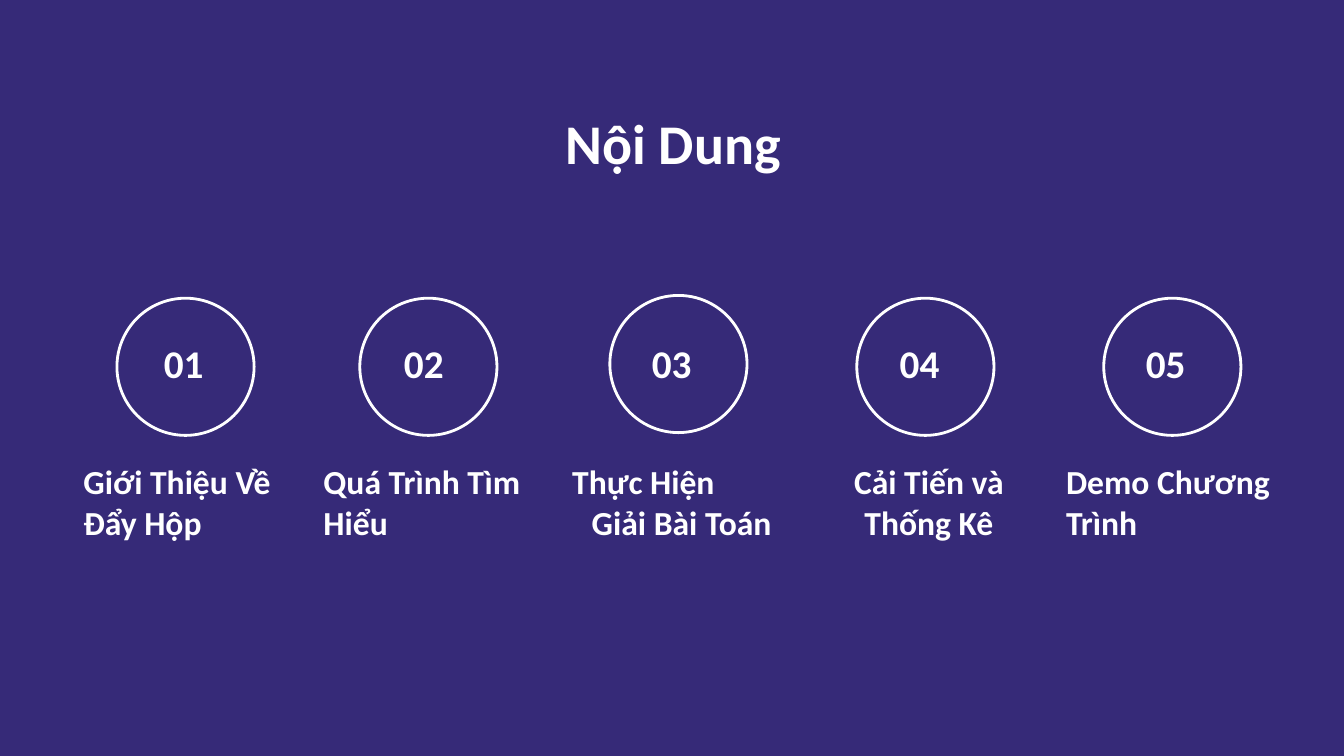
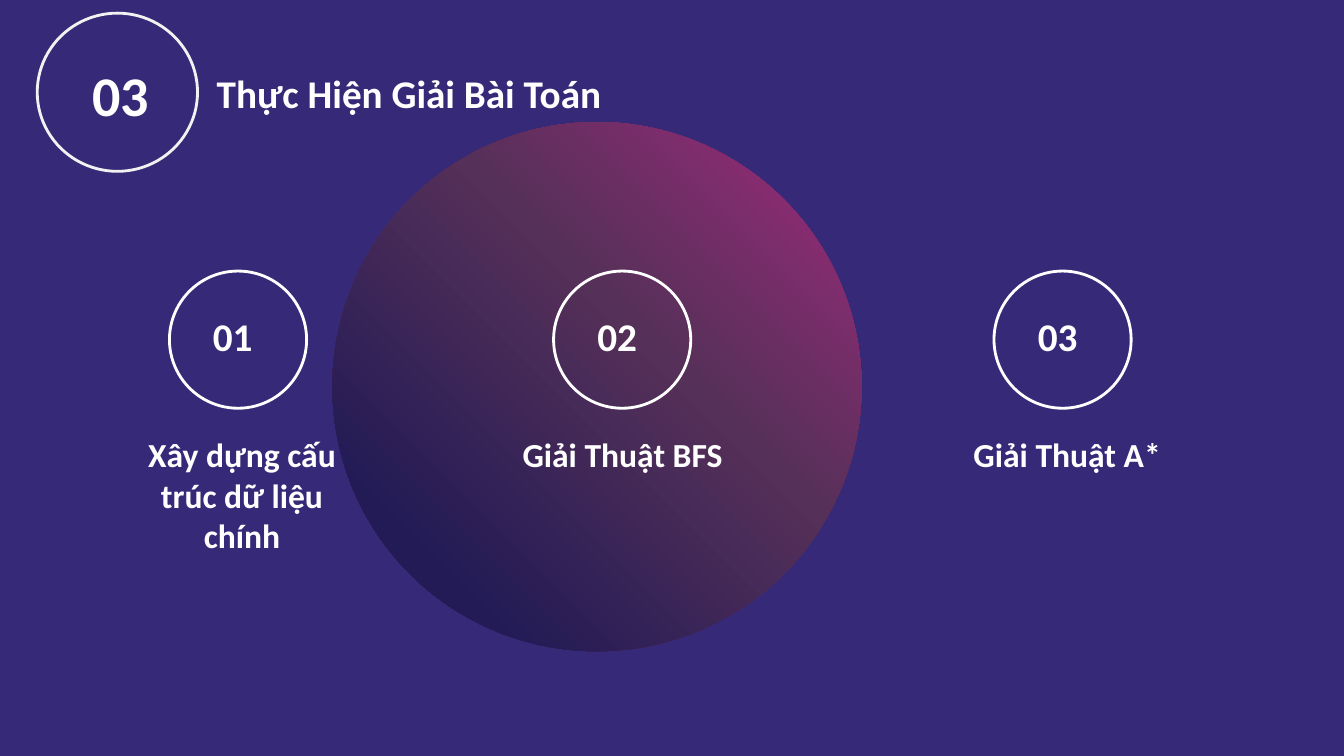
from dataclasses import dataclass

from lxml import etree
from pptx import Presentation
from pptx import util as u
from pptx.dml.color import RGBColor
from pptx.enum import shapes, text
from pptx.oxml import ns

Pt = u.Pt
LEFT, CENTER = text.PP_ALIGN.LEFT, text.PP_ALIGN.CENTER

COLORS = {
    "background": "362A78",
    "text": "FFFFFF",
    "badge": "F2F2F2",
    "pink": "A02A7D",
    "plum": "553058",
    "navy": "221B56",
}
FONT = "Calibri"
RING = 98
RING_WIDTH = 2


@dataclass
class Line:
    text: str
    align: text.PP_ALIGN = CENTER


@dataclass
class Step:
    number: str
    label: list[Line]
    ring_left: float
    number_left: float
    label_left: float
    rows: int = 2
    ring_shift: float = 0


def rgb(name: str) -> RGBColor:
    return RGBColor.from_string(COLORS[name])


def write(sp, lines: list[Line], size: float) -> None:
    tf = sp.text_frame
    tf.word_wrap = True
    tf.auto_size = text.MSO_AUTO_SIZE.SHAPE_TO_FIT_TEXT
    tf.vertical_anchor = text.MSO_ANCHOR.TOP
    for i, line in enumerate(lines):
        p = tf.add_paragraph() if i else tf.paragraphs[0]
        p.text = line.text
        p.alignment = line.align
        p.font.name, p.font.size, p.font.bold = FONT, Pt(size), True
        p.font.color.rgb = rgb("text")


def add_text(s, lines: list[Line], size: float, left: float, top: float,
             width: float, height: float) -> None:
    sp = s.shapes.add_textbox(Pt(left), Pt(top), Pt(width), Pt(height))
    write(sp, lines, size)


def add_circle(s, left: float, top: float, width: float, height: float):
    sp = s.shapes.add_shape(shapes.MSO_SHAPE.OVAL, Pt(left), Pt(top), Pt(width), Pt(height))
    sp.shadow.inherit = False
    return sp


def add_ring(s, left: float, top: float, width: float = RING,
             height: float = RING, color: str = "text") -> None:
    sp = add_circle(s, left, top, width, height)
    sp.fill.background()
    sp.line.color.rgb = rgb(color)
    sp.line.width = Pt(RING_WIDTH)


def add_gradient_disc(s, left: float, top: float, size: float,
                      stops: list[tuple[int, str]]) -> None:
    sp = add_circle(s, left, top, size, size)
    sp.line.fill.background()
    sp.fill.gradient()
    sp.fill.gradient_angle = 225
    stop_list = sp.element.spPr.find(".//" + ns.qn("a:gsLst"))
    for old in list(stop_list):
        stop_list.remove(old)
    for percent, color in stops:
        gs = etree.SubElement(stop_list, ns.qn("a:gs"), pos=str(percent * 1000))
        etree.SubElement(gs, ns.qn("a:srgbClr"), val=COLORS[color])


def add_steps(s, steps: list[Step], top: float) -> None:
    for step in steps:
        add_ring(s, step.ring_left, top + step.ring_shift)
        add_text(s, [Line(step.number, LEFT)], 28, step.number_left, top + 26, 50, 41)
        add_text(s, step.label, 24, step.label_left, top + 113, 170.6, 7.2 + 29 * step.rows)


def add_slide(prs, title: Line, size: float, left: float, top: float,
              width: float, height: float):
    s = prs.slides.add_slide(prs.slide_layouts[5])
    sp = s.shapes.title
    sp.left, sp.top, sp.width, sp.height = Pt(left), Pt(top), Pt(width), Pt(height)
    write(sp, [title], size)
    return s


def build_contents(prs) -> None:
    s = add_slide(prs, Line("Nội Dung"), 40, 343.4, 74, 275, 55.4)
    add_steps(s, [
        Step("01", [Line("Giới Thiệu Về Đẩy Hộp", LEFT)], 83.5, 110, 52.5),
        Step("02", [Line("Quá Trình Tìm Hiểu", LEFT)], 257, 281.5, 224),
        Step("03", [Line("Thực Hiện", LEFT), Line("Giải Bài Toán")],
             435.6, 458.6, 401.6, ring_shift=-2),
        Step("04", [Line("Cải Tiến và Thống Kê")], 612, 635.6, 578.2),
        Step("05", [Line("Demo Chương Trình", LEFT)], 788.4, 811.4, 754.4),
    ], 213)


def build_solution(prs) -> None:
    s = add_slide(prs, Line("Thực Hiện Giải Bài Toán", LEFT), 28, 147.6, 46, 350.6, 41)
    add_gradient_disc(s, 237.4, 87.2, 378,
                      [(0, "pink"), (41, "plum"), (83, "navy"), (100, "navy")])

    # Section number
    add_ring(s, 26.6, 9.4, 114.5, 113, "badge")
    add_text(s, [Line("03", LEFT)], 40, 59, 39.6, 62, 55.4)

    add_steps(s, [
        Step("01", [Line("Xây dựng cấu trúc dữ liệu chính")], 121, 145, 87.6, rows=3),
        Step("02", [Line("Giải Thuật BFS")], 395.4, 419.6, 359.4, rows=1),
        Step("03", [Line("Giải Thuật A*")], 710, 734.2, 677, rows=1),
    ], 193.6)


def main() -> None:
    prs = Presentation()
    prs.slide_width, prs.slide_height = Pt(960), Pt(540)

    # Shared background
    fill = prs.slide_master.background.fill
    fill.solid()
    fill.fore_color.rgb = rgb("background")

    build_contents(prs)
    build_solution(prs)
    prs.save("out.pptx")


if __name__ == "__main__":
    main()
